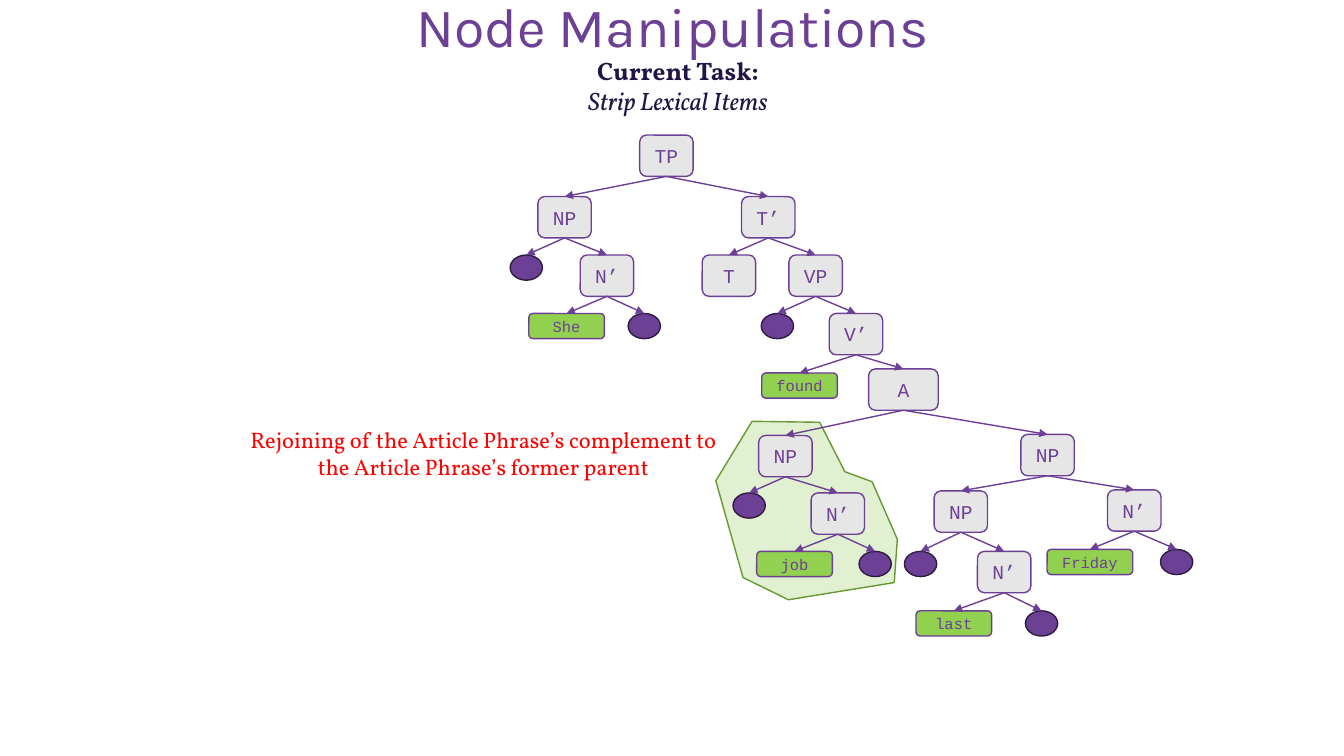
from dataclasses import dataclass

from lxml import etree
from pptx import Presentation
from pptx.dml.color import RGBColor
from pptx.enum import shapes, text
from pptx.oxml import ns
from pptx.util import Inches, Pt


@dataclass(frozen=True)
class Theme:
    purple: str = "6C4095"
    dark_purple: str = "2F1C41"
    navy: str = "201546"
    red: str = "FF0000"
    grey: str = "E7E6E6"
    lime: str = "92D050"
    pale_green: str = "E0F0D1"
    green: str = "669933"
    title_font: str = "Karla"
    body_font: str = "Vollkorn"
    node_font: str = "Courier New"
    title_size: float = 39.6
    task_size: float = 18
    note_size: float = 16
    phrase_size: float = 14
    word_size: float = 11
    line_width: float = 1


@dataclass(frozen=True)
class Node:
    label: str
    center: float
    top: float
    children: tuple = ()
    width: float = 0.53


def word(label, center, top, width=0.75):
    return Node(label, center, top, width=width)


def empty(center, top):
    return Node("", center, top, width=0.32)


REJOINED_PHRASE = Node("NP", 7.79, 4.32, (
    empty(7.43, 4.89),
    Node("N’", 8.31, 4.89, (word("job", 7.88, 5.47), empty(8.68, 5.47))),
))
TIME_PHRASE = Node("NP", 10.39, 4.31, (
    Node("NP", 9.53, 4.87, (
        empty(9.13, 5.47),
        Node("N’", 9.96, 5.47, (word("last", 9.46, 6.06), empty(10.33, 6.06))),
    )),
    Node("N’", 11.25, 4.86, (word("Friday", 10.81, 5.45, 0.85), empty(11.67, 5.45))),
))
SUBJECT = Node("NP", 5.6, 1.95, (
    empty(5.22, 2.53),
    Node("N’", 6.02, 2.53, (word("She", 5.62, 3.11), empty(6.39, 3.11))),
))
PREDICATE = Node("T’", 7.62, 1.95, (
    Node("T", 7.23, 2.53),
    Node("VP", 8.09, 2.53, (
        empty(7.71, 3.11),
        Node("V’", 8.49, 3.11, (
            word("found", 7.93, 3.7),
            Node("A", 8.96, 3.66, (REJOINED_PHRASE, TIME_PHRASE), 0.69),
        )),
    )),
))
SENTENCE = Node("TP", 6.61, 1.34, (SUBJECT, PREDICATE))
HIGHLIGHT = [(8.87, 5.78), (8.9, 5.35), (8.65, 4.78), (8.38, 4.68), (8.13, 4.19),
             (7.46, 4.18), (7.1, 4.77), (7.37, 5.73), (7.82, 5.95)]
WORDS = {"She", "found", "job", "last", "Friday"}


class TreeSlide:
    """Draws syntax tree elements on one slide in one theme."""

    def __init__(self, slide, theme):
        self.slide = slide
        self.theme = theme

    def paint(self, shape, fill, line):
        shape.shadow.inherit = False
        shape.fill.solid()
        shape.fill.fore_color.rgb = RGBColor.from_string(fill)
        shape.line.color.rgb = RGBColor.from_string(line)
        shape.line.width = Pt(self.theme.line_width)

    def format_paragraph(self, paragraph, font, size, color, bold=None, italic=None):
        paragraph.alignment = text.PP_ALIGN.CENTER
        for run in paragraph.runs:
            run.font.name = font
            run.font.size = Pt(size)
            run.font.color.rgb = RGBColor.from_string(color)
            run.font.bold = bold
            run.font.italic = italic

    def text_box(self, content, left, top, width, height, styles, anchor=text.MSO_ANCHOR.TOP):
        box = self.slide.shapes.add_textbox(
            Inches(left), Inches(top), Inches(width), Inches(height))
        frame = box.text_frame
        frame.word_wrap = True
        frame.vertical_anchor = anchor
        frame.text = content
        for paragraph, style in zip(frame.paragraphs, styles):
            self.format_paragraph(paragraph, *style)
        return box

    def outline(self, points):
        start, *rest = [(Inches(x), Inches(y)) for x, y in points]
        builder = self.slide.shapes.build_freeform(*start)
        builder.add_line_segments(rest, close=True)
        self.paint(builder.convert_to_shape(), self.theme.pale_green, self.theme.green)

    def arrow(self, parent, child):
        connector = self.slide.shapes.add_connector(shapes.MSO_CONNECTOR.STRAIGHT, 0, 0, 0, 0)
        connector.begin_connect(parent, 2)
        connector.end_connect(child, 0)
        connector.line.color.rgb = RGBColor.from_string(self.theme.purple)
        connector.line.width = Pt(self.theme.line_width)
        etree.SubElement(connector.line._get_or_add_ln(), ns.qn("a:tailEnd"), type="triangle")
        etree.SubElement(connector._element.spPr, ns.qn("a:effectLst"))

    def node(self, node):
        theme = self.theme
        is_phrase = bool(node.label) and node.label not in WORDS
        kind = shapes.MSO_SHAPE.ROUNDED_RECTANGLE if node.label else shapes.MSO_SHAPE.OVAL
        shape = self.slide.shapes.add_shape(
            kind, Inches(node.center - node.width / 2), Inches(node.top),
            Inches(node.width), Inches(0.41 if is_phrase else 0.25))
        if not node.label:
            self.paint(shape, theme.purple, theme.dark_purple)
            return shape
        self.paint(shape, theme.grey if is_phrase else theme.lime, theme.purple)
        frame = shape.text_frame
        frame.text = node.label
        frame.vertical_anchor = text.MSO_ANCHOR.MIDDLE
        size = theme.phrase_size if is_phrase else theme.word_size
        self.format_paragraph(frame.paragraphs[0], theme.node_font, size, theme.purple)
        return shape

    def tree(self, root):
        parent = self.node(root)
        for child in root.children:
            self.arrow(parent, self.tree(child))
        return parent


def main():
    presentation = Presentation()
    presentation.slide_width = Inches(13.33)
    presentation.slide_height = Inches(7.5)
    theme = Theme()
    page = TreeSlide(presentation.slides.add_slide(presentation.slide_layouts[6]), theme)

    page.outline(HIGHLIGHT)
    title = page.text_box(
        "Node Manipulations", 0.92, 0.04, 11.5, 0.51,
        [(theme.title_font, theme.title_size, theme.purple)], text.MSO_ANCHOR.MIDDLE)
    title.text_frame.paragraphs[0].line_spacing = 0.9
    page.tree(SENTENCE)
    page.text_box(
        "Rejoining of the Article Phrase’s complement to the Article Phrase’s former parent",
        2.31, 4.18, 4.97, 0.64, [(theme.body_font, theme.note_size, theme.red)])
    task_style = (theme.body_font, theme.task_size, theme.navy)
    page.text_box(
        "Current Task:\nStrip Lexical Items", 4.16, 0.5, 5.13, 0.71,
        [(*task_style, True, False), (*task_style, False, True)])
    presentation.save("out.pptx")


if __name__ == "__main__":
    main()
